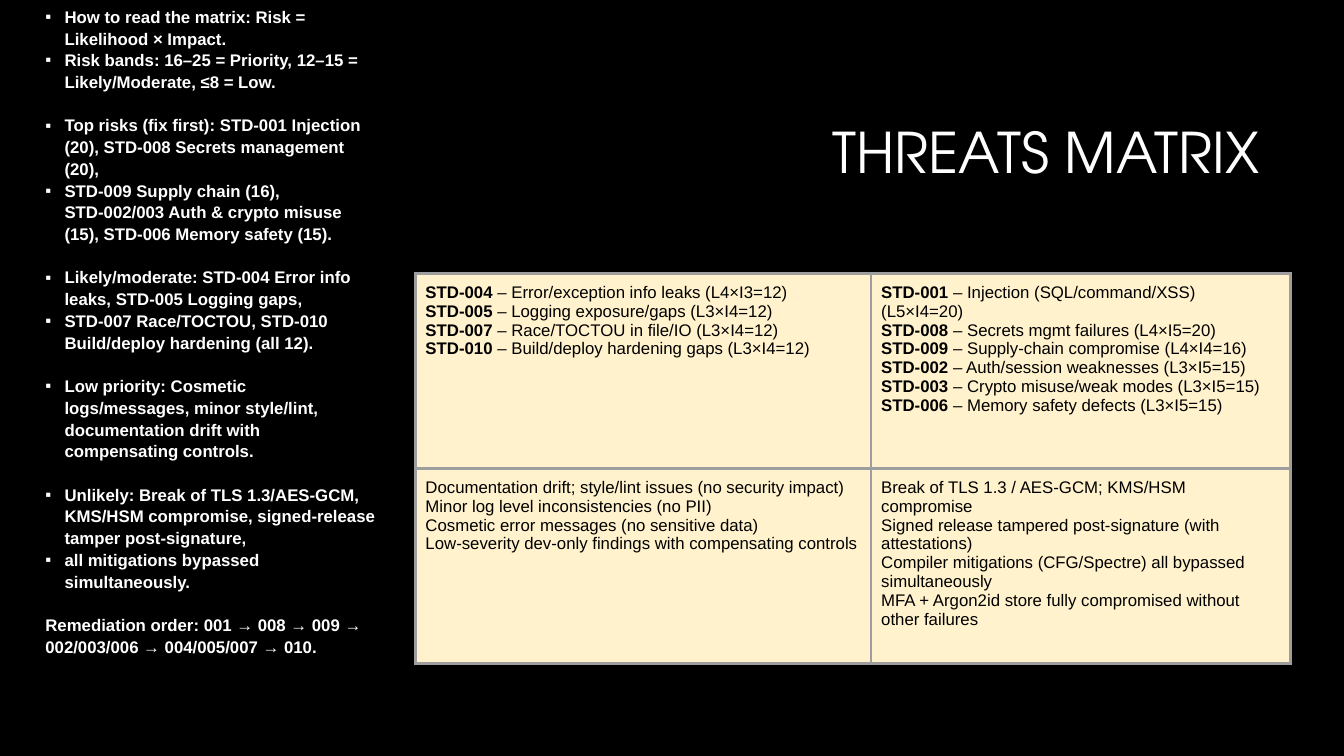
from lxml import etree
from pptx import Presentation
from pptx.dml.color import RGBColor
from pptx.enum.text import MSO_ANCHOR, MSO_AUTO_SIZE, PP_ALIGN
from pptx.oxml.ns import qn
from pptx.util import Inches, Pt

BLACK = RGBColor(0x00, 0x00, 0x00)
WHITE = RGBColor(0xFF, 0xFF, 0xFF)
CREAM = RGBColor(0xFF, 0xF2, 0xCC)
GREY = RGBColor(0x9E, 0x9E, 0x9E)
MIDDLE, TOP = MSO_ANCHOR.MIDDLE, MSO_ANCHOR.TOP
NO_FIT = MSO_AUTO_SIZE.NONE
RIGHT, LEFT = PP_ALIGN.RIGHT, PP_ALIGN.LEFT

NOTES = [
    ["How to read the matrix: Risk = Likelihood × Impact.",
     "Risk bands: 16–25 = Priority, 12–15 = Likely/Moderate, ≤8 = Low."],
    ["Top risks (fix first): STD-001 Injection (20), STD-008 Secrets management (20),",
     "STD-009 Supply chain (16), STD-002/003 Auth & crypto misuse (15), STD-006 Memory safety (15)."],
    ["Likely/moderate: STD-004 Error info leaks, STD-005 Logging gaps,",
     "STD-007 Race/TOCTOU, STD-010 Build/deploy hardening (all 12)."],
    ["Low priority: Cosmetic logs/messages, minor style/lint, documentation drift with compensating controls."],
    ["Unlikely: Break of TLS 1.3/AES-GCM, KMS/HSM compromise, signed-release tamper post-signature,",
     "all mitigations bypassed simultaneously."],
    ["Remediation order: 001 → 008 → 009 → 002/003/006 → 004/005/007 → 010."],
]
MATRIX = [
    [[("STD-004", " – Error/exception info leaks (L4×I3=12)"),
      ("STD-005", " – Logging exposure/gaps (L3×I4=12)"),
      ("STD-007", " – Race/TOCTOU in file/IO (L3×I4=12)"),
      ("STD-010", " – Build/deploy hardening gaps (L3×I4=12)")],
     [("STD-001", " – Injection (SQL/command/XSS) (L5×I4=20)"),
      ("STD-008", " – Secrets mgmt failures (L4×I5=20)"),
      ("STD-009", " – Supply-chain compromise (L4×I4=16)"),
      ("STD-002", " – Auth/session weaknesses (L3×I5=15)"),
      ("STD-003", " – Crypto misuse/weak modes (L3×I5=15)"),
      ("STD-006", " – Memory safety defects (L3×I5=15)")]],
    [[("", "Documentation drift; style/lint issues (no security impact)"),
      ("", "Minor log level inconsistencies (no PII)"),
      ("", "Cosmetic error messages (no sensitive data)"),
      ("", "Low-severity dev-only findings with compensating controls")],
     [("", "Break of TLS 1.3 / AES-GCM; KMS/HSM compromise"),
      ("", "Signed release tampered post-signature (with attestations)"),
      ("", "Compiler mitigations (CFG/Spectre) all bypassed simultaneously"),
      ("", "MFA + Argon2id store fully compromised without other failures")]],
]


def add_run(para, text, color, bold, size=12, face="Arial"):
    run = para.add_run()
    run.text = text
    form = {"name": face, "size": Pt(size), "bold": bold}
    for key, value in form.items():
        setattr(run.font, key, value)
    run.font.color.rgb = color


def set_box(shape, box, anchor):
    names = ("left", "top", "width", "height")
    for key, value in zip(names, box):
        setattr(shape, key, Inches(value))
    form = {
        "margin_left": Inches(0.1), "margin_right": Inches(0.1),
        "margin_top": Inches(0.05), "margin_bottom": Inches(0.05),
        "word_wrap": True, "auto_size": NO_FIT, "vertical_anchor": anchor,
    }
    for key, value in form.items():
        setattr(shape.text_frame, key, value)


deck = Presentation()
deck.slide_width = Inches(13.33)
deck.slide_height = Inches(7.5)
slide = deck.slides.add_slide(deck.slide_layouts[1])
slide.background.fill.solid()
slide.background.fill.fore_color.rgb = BLACK

title = slide.shapes.title
set_box(title, (3.17, 0.84, 9.42, 1.41), MIDDLE)
para = title.text_frame.paragraphs[0]
para.alignment = RIGHT
para.line_spacing = 0.9
add_run(para, "THREATS MATRIX", WHITE, False, 40, "TeX Gyre Adventor")

body = slide.placeholders[1]
set_box(body, (0.1, 0, 3.73, 7.9), TOP)
frame = body.text_frame
para = frame.paragraphs[0]
for part, group in enumerate(NOTES):
    last = part == len(NOTES) - 1
    for item, text in enumerate(group):
        if part or item:
            para = frame.add_paragraph()
        form = {
            "alignment": LEFT, "line_spacing": 1.08, "space_after": Pt(0),
            "space_before": Pt(15.4 if part and not item else 0),
        }
        for key, value in form.items():
            setattr(para, key, value)
        props = para._p.get_or_add_pPr()
        props.set("marL", str(Inches(0.25 if last else 0.44)))
        props.set("indent", str(Inches(0 if last else -0.19)))
        if last:
            etree.SubElement(props, qn("a:buNone"))
        else:
            tint = etree.SubElement(props, qn("a:buClr"))
            etree.SubElement(tint, qn("a:srgbClr"), val=str(WHITE))
            etree.SubElement(props, qn("a:buFont"), typeface="Arial")
            etree.SubElement(props, qn("a:buChar"), char="▪")
        add_run(para, text, WHITE, True)

grid = slide.shapes.add_table(
    2, 2, Inches(4.12), Inches(2.71), Inches(8.68), Inches(3.87)).table
grid.first_row = False
grid.horz_banding = False
for col, width in zip(grid.columns, (4.52, 4.16)):
    col.width = Inches(width)
for row, lists in zip(grid.rows, MATRIX):
    row.height = Inches(1.935)
    for cell, lines in zip(row.cells, lists):
        for side in ("left", "right", "top", "bottom"):
            setattr(cell, "margin_" + side, Inches(0.1))
        cell.vertical_anchor = TOP
        props = cell._tc.get_or_add_tcPr()
        for tag in ("a:lnL", "a:lnR", "a:lnT", "a:lnB"):
            edge = etree.SubElement(props, qn(tag), w=str(Pt(2.25)))
            fill = etree.SubElement(edge, qn("a:solidFill"))
            etree.SubElement(fill, qn("a:srgbClr"), val=str(GREY))
        cell.fill.solid()
        cell.fill.fore_color.rgb = CREAM
        frame = cell.text_frame
        for item, (code, text) in enumerate(lines):
            para = frame.add_paragraph() if item else frame.paragraphs[0]
            if code:
                add_run(para, code, BLACK, True)
            add_run(para, text, BLACK, False)

deck.save("out.pptx")
